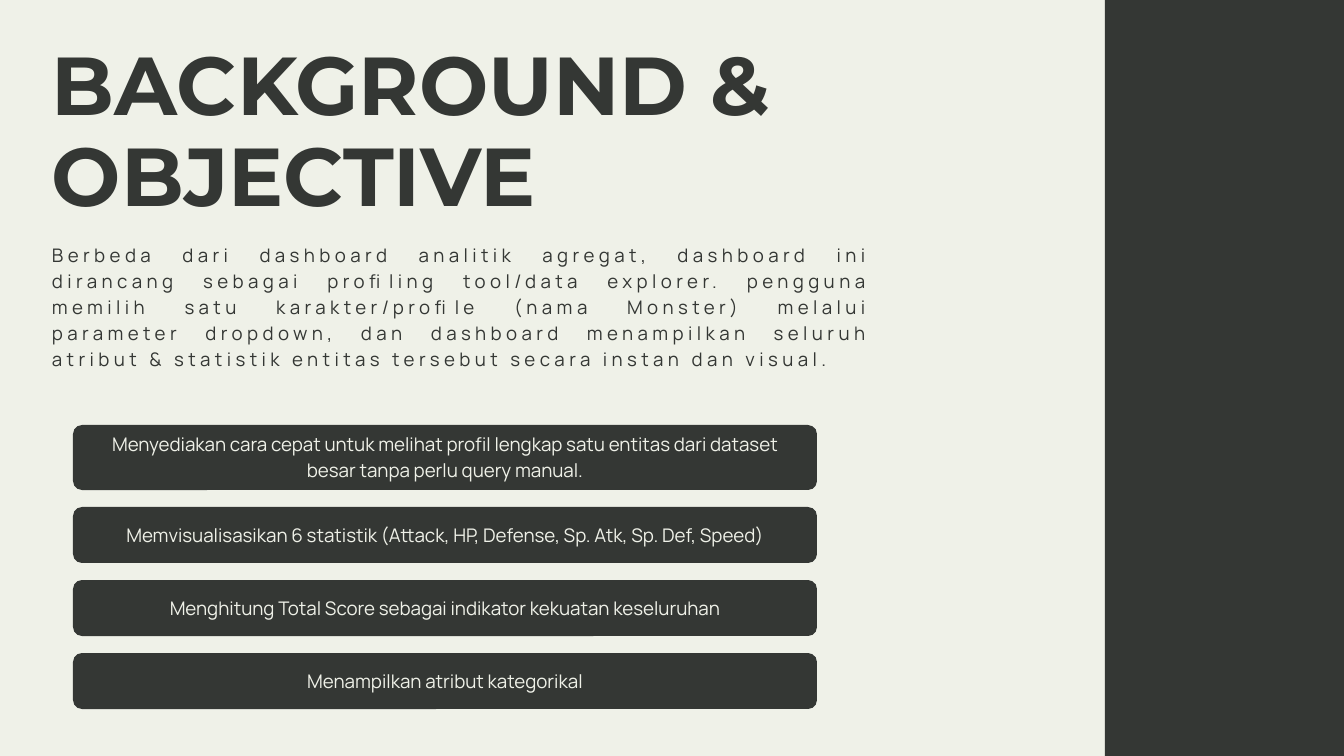
from pptx import Presentation
from pptx.dml.color import RGBColor
from pptx.enum.shapes import MSO_SHAPE
from pptx.enum.text import MSO_ANCHOR, MSO_AUTO_SIZE, PP_ALIGN
from pptx.util import Emu, Pt

RECTANGLE, ROUNDED = MSO_SHAPE.RECTANGLE, MSO_SHAPE.ROUNDED_RECTANGLE
TOP, MIDDLE = MSO_ANCHOR.TOP, MSO_ANCHOR.MIDDLE
LEFT, CENTER, JUSTIFY = PP_ALIGN.LEFT, PP_ALIGN.CENTER, PP_ALIGN.JUSTIFY
PX = 18288000 / 1344
TITLE_ONLY = 5

DARK, LIGHT = RGBColor.from_string("343734"), RGBColor.from_string("EFF1E8")
THEME = {
    "title": {"name": "Montserrat", "size": Pt(88), "bold": True, "color": DARK, "line": Pt(96.8)},
    "intro": {"name": "Manrope", "size": Pt(20), "bold": False, "color": DARK, "line": Pt(28)},
    "goal": {"name": "Manrope", "size": Pt(20.1), "bold": False, "color": LIGHT, "line": Pt(28.1)},
}


def px(*lengths):
    return [Emu(round(length * PX)) for length in lengths]


def write(box, text, style, align, anchor=TOP, insets=(0, 0, 0, 0)):
    frame = box.text_frame
    left, top, right, bottom = px(*insets)
    settings = {"word_wrap": True, "auto_size": MSO_AUTO_SIZE.NONE, "vertical_anchor": anchor,
                "margin_left": left, "margin_top": top, "margin_right": right, "margin_bottom": bottom}
    for key, value in settings.items():
        setattr(frame, key, value)
    para = frame.paragraphs[0]
    para.alignment, para.line_spacing = align, THEME[style]["line"]
    span = para.add_run()
    span.text = text
    for key in ("name", "size", "bold"):
        setattr(span.font, key, THEME[style][key])
    span.font.color.rgb = THEME[style]["color"]
    return span


deck = Presentation()
deck.slide_width, deck.slide_height = px(1344, 756)
page = deck.slides.add_slide(deck.slide_layouts[TITLE_ONLY])
page.background.fill.solid()
page.background.fill.fore_color.rgb = LIGHT

# Side panel, bleeding past the slide edges
panel = page.shapes.add_shape(RECTANGLE, *px(1105, -15, 277, 821))
panel.shadow.inherit = False
panel.fill.solid()
panel.fill.fore_color.rgb = DARK
panel.line.fill.background()

# Title
title = page.shapes.title
title.left, title.top, title.width, title.height = px(52, 42, 1018, 182)
write(title, "BACKGROUND & OBJECTIVE", "title", LEFT)

# Introduction, with wide letter spacing
intro = page.shapes.add_textbox(*px(52, 240, 818, 130))
span = write(
    intro,
    "Berbeda dari dashboard analitik agregat, dashboard ini dirancang sebagai profiling tool/data "
    "explorer. pengguna memilih satu karakter/profile (nama Monster) melalui parameter dropdown, dan "
    "dashboard menampilkan seluruh atribut & statistik entitas tersebut secara instan dan visual.",
    "intro", JUSTIFY)
span.font._element.set("spc", "470")

# Objective bars, stacked with equal gaps
GOALS = [
    (65, "Menyediakan cara cepat untuk melihat profil lengkap satu entitas dari dataset besar "
         "tanpa perlu query manual."),
    (56, "Memvisualisasikan 6 statistik (Attack, HP, Defense, Sp. Atk, Sp. Def, Speed)"),
    (56, "Menghitung Total Score sebagai indikator kekuatan keseluruhan"),
    (56, "Menampilkan atribut kategorikal"),
]
GAP, RADIUS = 17, 9
top = 425
for height, goal in GOALS:
    bar = page.shapes.add_shape(ROUNDED, *px(73, top, 744, height))
    bar.adjustments[0] = RADIUS / height
    bar.shadow.inherit = False
    bar.fill.solid()
    bar.fill.fore_color.rgb = DARK
    bar.line.fill.background()
    write(bar, goal, "goal", CENTER, MIDDLE, (25, 0, 25, 4))
    top += height + GAP

deck.save("out.pptx")
